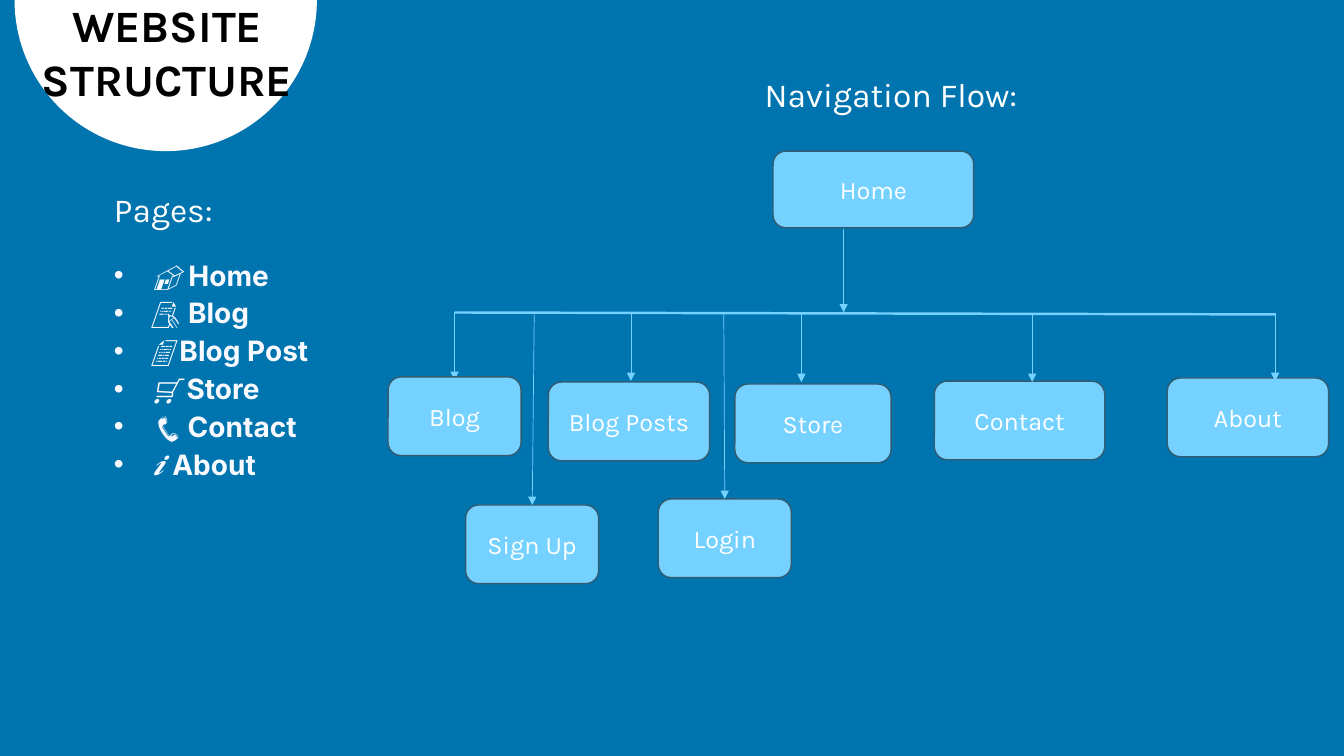
"""Build a slide that shows a website's pages and navigation flow."""
from dataclasses import dataclass
from math import cos, pi, sin

from lxml.etree import SubElement
from pptx import Presentation
from pptx.dml.color import RGBColor
from pptx.enum.shapes import MSO_CONNECTOR, MSO_SHAPE
from pptx.enum.text import MSO_ANCHOR, MSO_AUTO_SIZE, PP_ALIGN
from pptx.oxml.ns import qn
from pptx.util import Pt

BLUE, SKY, EDGE = "0074AF", "75D1FF", "335C70"
WHITE, ICE, BLACK = "FFFFFF", "F8FAFF", "000000"


@dataclass
class PageBox:
    """A page in the navigation flow, in points."""
    label: str
    left: float
    top: float
    width: float
    height: float = 56.2


@dataclass
class Link:
    """A line of the navigation flow, in points."""
    x1: float
    y1: float
    x2: float
    y2: float
    weight: float = 0.5
    arrow: bool = True


@dataclass
class PageItem:
    """An entry of the page list."""
    icon: str
    name: str


PAGE_ITEMS = [
    PageItem("🏠", "Home"),
    PageItem("📝", "Blog"),
    PageItem("📄", "Blog Post"),
    PageItem("🛒", "Store"),
    PageItem("📞", "Contact"),
    PageItem("ℹ️", "About"),
]
PAGE_BOXES = [
    PageBox("Home", 552.2, 108, 143.3, 54.7),
    PageBox("Blog", 277.2, 269.2, 95),
    PageBox("Blog Posts", 391.7, 272.9, 115.2),
    PageBox("Store", 524.9, 274.3, 111.6),
    PageBox("Contact", 667.4, 272.2, 121.7),
    PageBox("About", 833.8, 270, 115.2),
    PageBox("Sign Up", 332.6, 360.7, 95),
    PageBox("Login", 470.2, 356.4, 95),
]
LINKS_BEHIND = [
    Link(324.7, 223.2, 910.8, 224.6, 1.75, False),
    Link(324.7, 223.2, 324.7, 271.4),
]
LINKS_IN_FRONT = [
    Link(602.6, 163.4, 602.6, 223.2),
    Link(450.7, 223.9, 450.7, 272.2),
    Link(572.4, 224.6, 572.4, 272.9),
    Link(737.3, 224.6, 737.3, 272.9),
    Link(910.8, 223.9, 910.8, 272.2),
    Link(381.6, 224.6, 380.2, 360.7),
    Link(517, 223.2, 517.7, 356.4),
]


def paint(target, colour: str) -> None:
    """Give a fill a solid hex colour."""
    target.solid()
    target.fore_color.rgb = RGBColor.from_string(colour)


def write(paragraph, text: str, *, size: float, font: str = "Karla", colour: str = WHITE,
          bold: bool = False, italic: bool = False, align=PP_ALIGN.LEFT) -> None:
    """Add a formatted run to a paragraph."""
    paragraph.alignment = align
    run = paragraph.add_run()
    run.text = text
    run.font.size, run.font.name = Pt(size), font
    run.font.bold, run.font.italic = bold, italic
    paint(run.font.fill, colour)


def place(shape, left: float, top: float, width: float, height: float):
    """Position a text shape and return its top-anchored frame."""
    shape.left, shape.top = Pt(left), Pt(top)
    shape.width, shape.height = Pt(width), Pt(height)
    frame = shape.text_frame
    frame.word_wrap = True
    frame.auto_size = MSO_AUTO_SIZE.NONE
    frame.vertical_anchor = MSO_ANCHOR.TOP
    return frame


def set_bullet(paragraph, bullet: str = "", indent: float = 0) -> None:
    """Set a hanging bullet, or none."""
    properties = paragraph._p.get_or_add_pPr()
    properties.set("marL", str(Pt(indent)))
    properties.set("indent", str(-Pt(indent)))
    if bullet:
        SubElement(properties, qn("a:buChar")).set("char", bullet)
    else:
        SubElement(properties, qn("a:buNone"))


def draw_title(slide) -> None:
    """Draw the title on its cut-off white disc."""
    title = slide.shapes.title
    centre_x, centre_y, radius, steps = 118.4, 0, 108, 90
    rim = [(Pt(centre_x + radius * cos(pi * step / steps)),
            Pt(centre_y + radius * sin(pi * step / steps))) for step in range(steps + 1)]
    builder = slide.shapes.build_freeform(*rim[0])
    builder.add_line_segments(rim[1:], close=True)
    disc = builder.convert_to_shape()
    disc.shadow.inherit = False
    paint(disc.fill, WHITE)
    disc.line.fill.background()
    title.element.addprevious(disc.element)
    heading = place(title, 15.8, -5, 207.4, 85).paragraphs[0]
    write(heading, "WEBSITE STRUCTURE", size=32, colour=BLACK, bold=True, align=PP_ALIGN.CENTER)


def draw_page_list(slide) -> None:
    """Fill the body placeholder with the page list."""
    frame = place(slide.placeholders[1], 74.2, 131, 233.3, 240.5)
    heading = frame.paragraphs[0]
    heading.space_before = Pt(0)
    set_bullet(heading)
    write(heading, "Pages:", size=24)
    for position, item in enumerate(PAGE_ITEMS):
        entry = frame.add_paragraph()
        entry.space_before = Pt(3 if position else 21)
        set_bullet(entry, "•", 27)
        write(entry, f"{item.icon} ", size=20, font="Inter", colour=ICE, italic=True)
        write(entry, item.name, size=20, font="Inter", colour=ICE, bold=True)


def draw_link(slide, link: Link) -> None:
    """Draw one line of the flow."""
    line = slide.shapes.add_connector(
        MSO_CONNECTOR.STRAIGHT, Pt(link.x1), Pt(link.y1), Pt(link.x2), Pt(link.y2))
    paint(line.line.fill, SKY)
    line.line.width = Pt(link.weight)
    if link.arrow:
        SubElement(line.line._get_or_add_ln(), qn("a:tailEnd")).set("type", "triangle")
    SubElement(line.element.spPr, qn("a:effectLst"))


def draw_page_box(slide, page: PageBox) -> None:
    """Draw one page of the flow."""
    box = slide.shapes.add_shape(
        MSO_SHAPE.ROUNDED_RECTANGLE, Pt(page.left), Pt(page.top), Pt(page.width), Pt(page.height))
    box.shadow.inherit = False
    paint(box.fill, SKY)
    paint(box.line.fill, EDGE)
    box.line.width = Pt(1)
    box.text_frame.vertical_anchor = MSO_ANCHOR.MIDDLE
    write(box.text_frame.paragraphs[0], page.label, size=18, align=PP_ALIGN.CENTER)


def draw_flow(slide) -> None:
    """Draw the navigation flow with its heading."""
    caption = slide.shapes.add_textbox(0, 0, 0, 0)
    heading = place(caption, 419, 49, 434.9, 36).paragraphs[0]
    write(heading, "Navigation Flow:", size=24, align=PP_ALIGN.CENTER)
    for link in LINKS_BEHIND:
        draw_link(slide, link)
    for page in PAGE_BOXES:
        draw_page_box(slide, page)
    for link in LINKS_IN_FRONT:
        draw_link(slide, link)


def main() -> None:
    """Build and save the presentation."""
    presentation = Presentation()
    presentation.slide_width, presentation.slide_height = Pt(960), Pt(540)
    slide = presentation.slides.add_slide(presentation.slide_layouts[1])
    paint(slide.background.fill, BLUE)
    draw_title(slide)
    draw_page_list(slide)
    draw_flow(slide)
    presentation.save("out.pptx")


if __name__ == "__main__":
    main()
